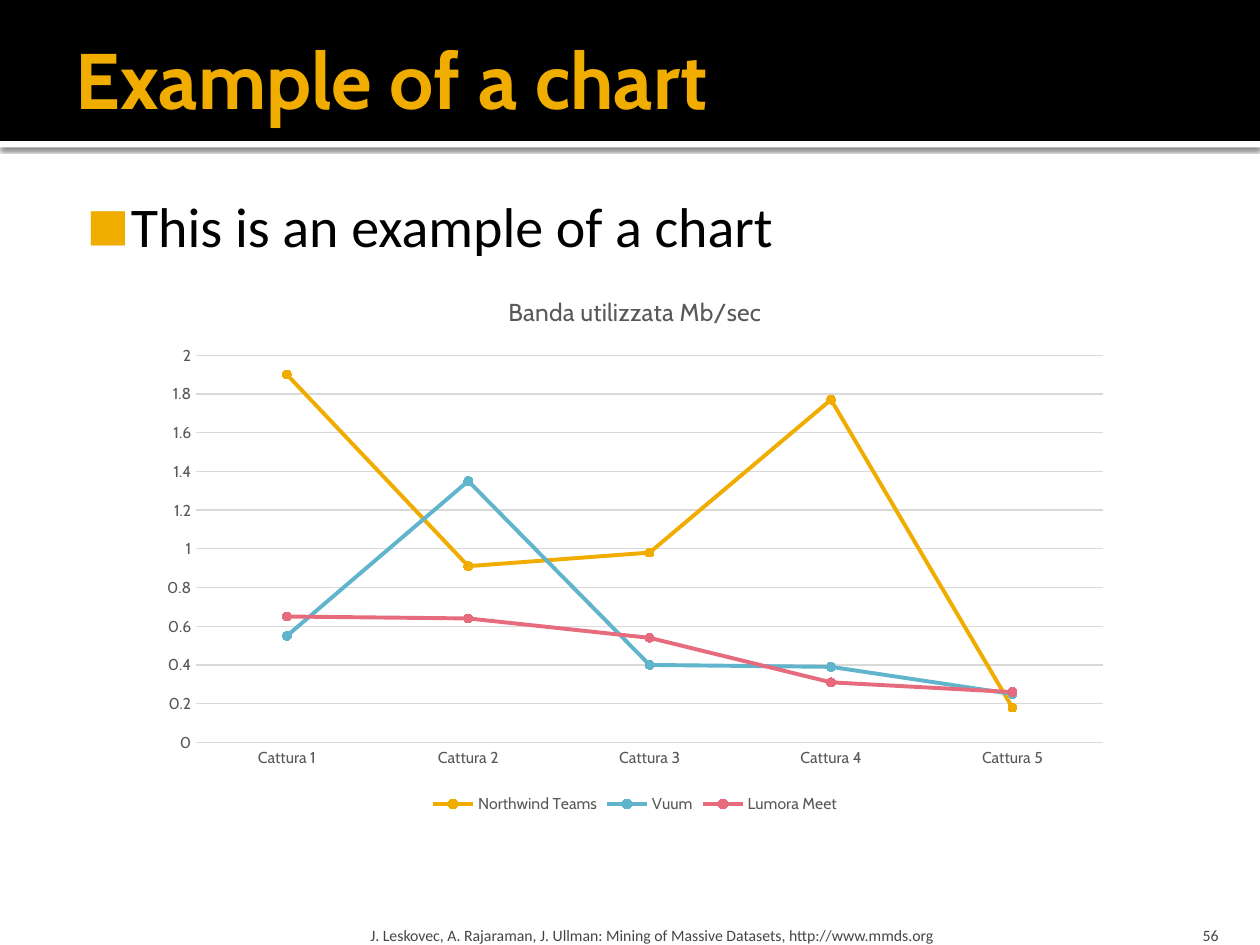
from lxml import etree
from pptx import Presentation
from pptx.chart.data import CategoryChartData
from pptx.dml.color import RGBColor
from pptx.enum.chart import XL_CHART_TYPE, XL_LEGEND_POSITION, XL_MARKER_STYLE, XL_TICK_MARK
from pptx.enum.shapes import MSO_SHAPE
from pptx.enum.text import MSO_ANCHOR, PP_ALIGN
from pptx.oxml import parse_xml
from pptx.oxml.ns import nsdecls, qn
from pptx.util import Inches, Pt

LINE_MARKERS = XL_CHART_TYPE.LINE_MARKERS
BOTTOM_LEGEND = XL_LEGEND_POSITION.BOTTOM
CIRCLE = XL_MARKER_STYLE.CIRCLE
NO_TICK = XL_TICK_MARK.NONE
RECT = MSO_SHAPE.RECTANGLE
TOP, MIDDLE, BOTTOM = MSO_ANCHOR.TOP, MSO_ANCHOR.MIDDLE, MSO_ANCHOR.BOTTOM
LEFT, RIGHT = PP_ALIGN.LEFT, PP_ALIGN.RIGHT

HEX = {"black": "000000", "white": "FFFFFF", "gold": "F0AD00", "blue": "60B5CC",
       "rose": "E66C7D", "footer": "454545", "label": "595959", "grid": "D9D9D9"}
C = {name: RGBColor.from_string(value) for name, value in HEX.items()}

prs = Presentation()
prs.slide_width, prs.slide_height = Inches(10), Inches(7.5)
s = prs.slides.add_slide(prs.slide_layouts[6])


def share(x, y, w, h):
    W, H = prs.slide_width, prs.slide_height
    return [int(n * side / 100) for n, side in zip((x, y, w, h), (W, H, W, H))]


def set_font(font, name, size, color, bold=False):
    font.name, font.size, font.bold = name, Pt(size), bold
    font.color.rgb = C[color]


for y, h, color in [(14.93, 0.67, "white"), (0, 14.93, "black")]:
    sp = s.shapes.add_shape(RECT, *share(0, y, 100, h))
    sp.shadow.inherit = False
    sp.fill.solid()
    sp.fill.fore_color.rgb = C[color]
    sp.line.fill.background()
    if color == "white":
        effects = sp._element.spPr.find(qn("a:effectLst"))
        effects.append(parse_xml(
            f'<a:outerShdw {nsdecls("a")} blurRad="{Pt(2.5)}" dist="{Pt(0.8)}" dir="5400000" '
            f'rotWithShape="0"><a:srgbClr val="{HEX["black"]}"><a:alpha val="60000"/>'
            '</a:srgbClr></a:outerShdw>'))

texts = [
    ("Example of a chart", (5, 1.07, 90, 14.4), (0.1, 0.05, 0.05, 0.05), MIDDLE, LEFT,
     ("Cabin", 45, "gold", True), False),
    ("This is an example of a chart", (5, 18.93, 90, 76.67), (0.06, 0.1, 0.1, 0.05), TOP, LEFT,
     ("Calibri", 32, "black"), True),
    ("J. Leskovec, A. Rajaraman, J. Ullman: Mining of Massive Datasets, http://www.mmds.org",
     (28.9, 96, 60.2, 4), (0.05, 0.05, 0.05, 0), BOTTOM, LEFT, ("Calibri", 9, "footer"), False),
    ("56", (89.7, 96, 8, 4), (0.1, 0.05, 0.1, 0), BOTTOM, RIGHT, ("Calibri", 9, "footer"), False),
]
for text, place, insets, anchor, align, font, bullet in texts:
    tf = s.shapes.add_textbox(*share(*place)).text_frame
    tf.word_wrap = True
    tf.vertical_anchor = anchor
    tf.margin_left, tf.margin_top, tf.margin_right, tf.margin_bottom = map(Inches, insets)
    p = tf.paragraphs[0]
    p.alignment = align
    if bullet:
        pPr = p._p.get_or_add_pPr()
        pPr.set("marL", str(Inches(0.48)))
        pPr.set("indent", str(Inches(-0.35)))
        color = etree.SubElement(pPr, qn("a:buClr"))
        etree.SubElement(color, qn("a:srgbClr"), val=HEX["gold"])
        etree.SubElement(pPr, qn("a:buSzPct"), val="80000")
        etree.SubElement(pPr, qn("a:buFont"), typeface="Calibri")
        etree.SubElement(pPr, qn("a:buChar"), char="■")
    r = p.add_run()
    r.text = text
    set_font(r.font, *font)

series = [
    ("Northwind Teams", (1.9, 0.91, 0.98, 1.77, 0.18), "gold"),
    ("Vuum", (0.55, 1.35, 0.4, 0.39, 0.25), "blue"),
    ("Lumora Meet", (0.65, 0.64, 0.54, 0.31, 0.26), "rose"),
]
data = CategoryChartData()
data.categories = [f"Cattura {n}" for n in range(1, 6)]
for name, values, color in series:
    data.add_series(name, values)
chart = s.shapes.add_chart(LINE_MARKERS, *share(11.7, 28.93, 77.4, 57.73), data).chart
set_font(chart.font, "Cabin", 10, "black")

chart.has_title = True
r = chart.chart_title.text_frame.paragraphs[0].add_run()
r.text = "Banda utilizzata Mb/sec"
set_font(r.font, "Cabin", 14, "label")
chart.chart_title.include_in_layout = False

chart.has_legend = True
chart.legend.position = BOTTOM_LEGEND
chart.legend.include_in_layout = False
set_font(chart.legend.font, "Cabin", 9, "label")

cat, val = chart.category_axis, chart.value_axis
for axis in (cat, val):
    axis.major_tick_mark = axis.minor_tick_mark = NO_TICK
    set_font(axis.tick_labels.font, "Cabin", 9, "label")
val.minimum_scale, val.maximum_scale, val.major_unit = 0, 2, 0.2
val.format.line.fill.background()
for line in (cat.format.line, val.major_gridlines.format.line):
    line.color.rgb = C["grid"]
    line.width = Pt(0.75)

plot = chart.plots[0]
plot.vary_by_categories = False
for ser, (name, values, color) in zip(plot.series, series):
    ser.smooth = False
    ser.format.line.color.rgb = C[color]
    ser.format.line.width = Pt(2.25)
    ser.marker.style, ser.marker.size = CIRCLE, 5
    ser.marker.format.fill.solid()
    ser.marker.format.fill.fore_color.rgb = C[color]
    ser.marker.format.line.color.rgb = C[color]

area = chart._chartSpace.chart.plotArea
for old in area.findall(qn("c:layout")):
    area.remove(old)
layout = etree.Element(qn("c:layout"))
area.insert(0, layout)
manual = etree.SubElement(layout, qn("c:manualLayout"))
for tag, value in [("layoutTarget", "inner"), ("xMode", "edge"), ("yMode", "edge"),
                   ("x", "0.05"), ("y", "0.15"), ("w", "0.93"), ("h", "0.71")]:
    etree.SubElement(manual, qn(f"c:{tag}"), val=value)

prs.save("out.pptx")
